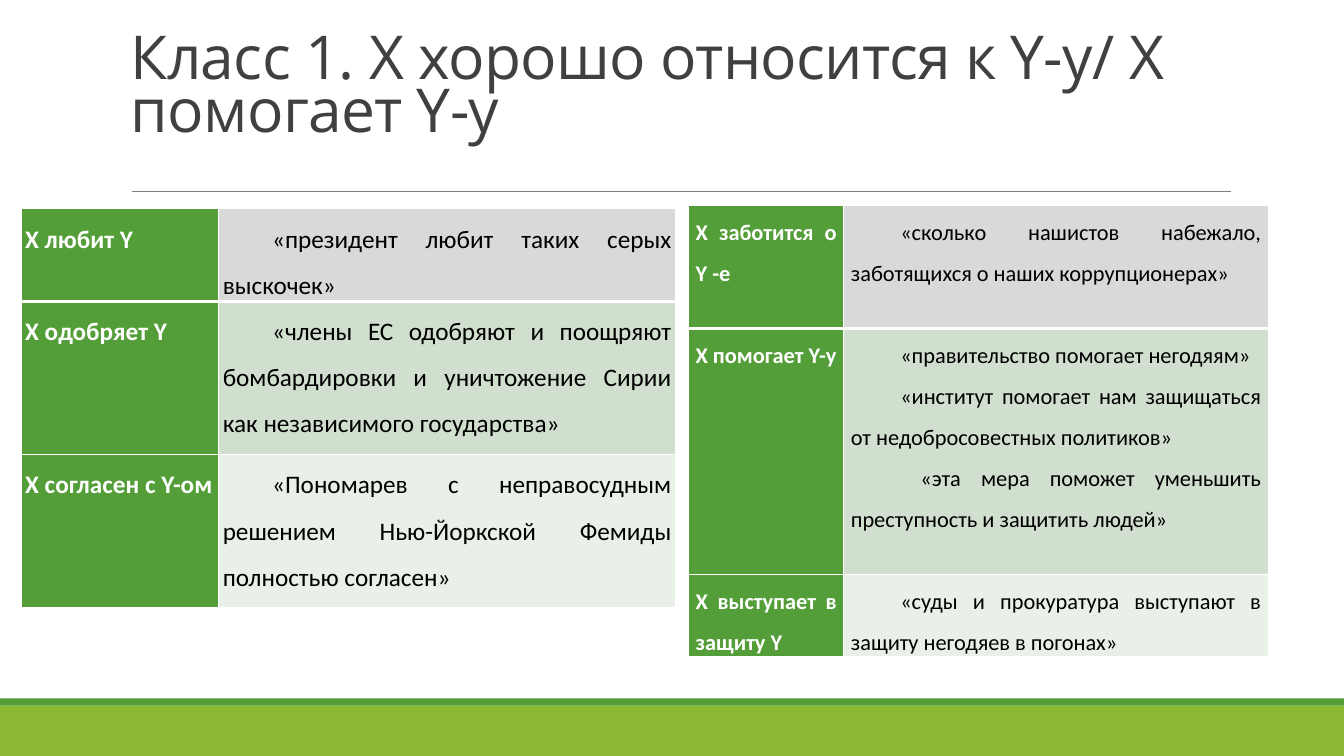
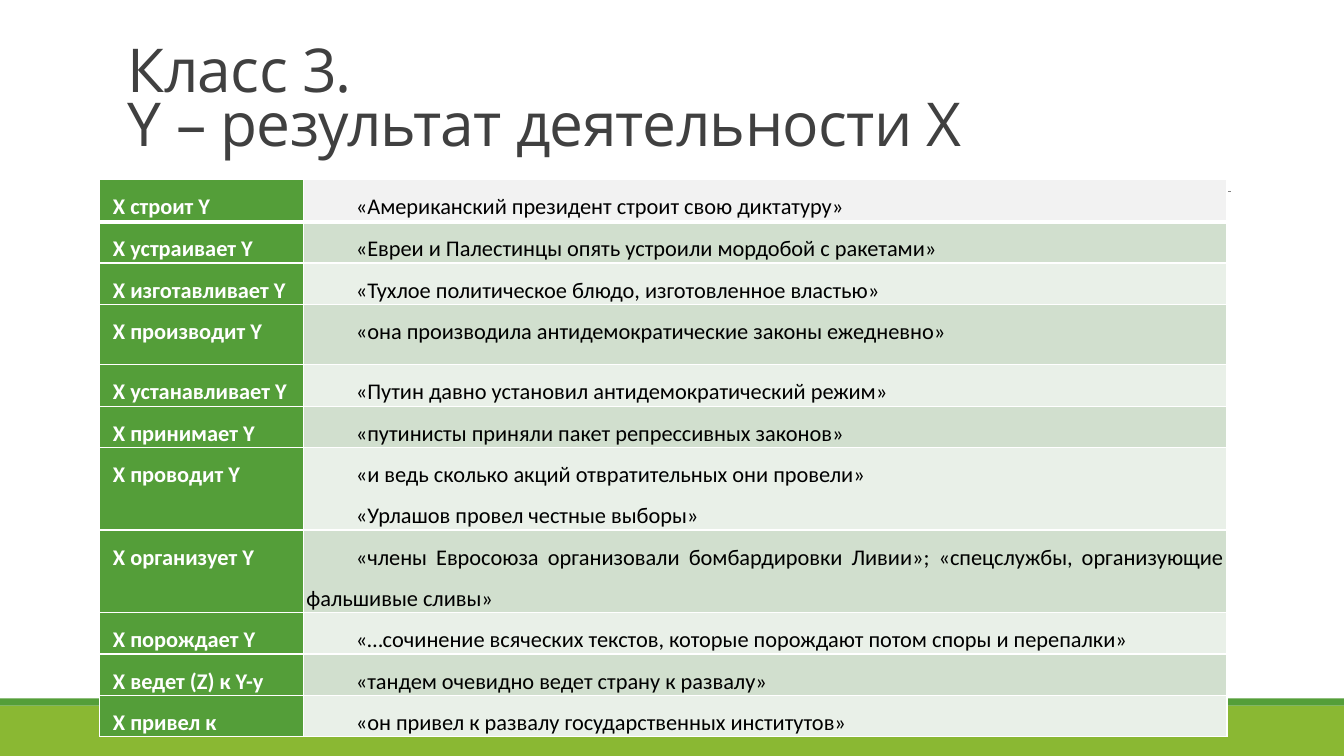
import pptx
import pptx.util
import pptx.dml.color
import pptx.enum.shapes
import pptx.enum.text
import pptx.oxml
import pptx.oxml.ns

Inches = pptx.util.Inches
Pt = pptx.util.Pt
ALIGN = pptx.enum.text.PP_ALIGN
SHAPE = pptx.enum.shapes.MSO_SHAPE
WIRE = pptx.enum.shapes.MSO_CONNECTOR

HEX = {
    "lime": "8AB833", "green": "549E39", "rule": "808080", "title": "404040",
    "white": "FFFFFF", "black": "000000", "gray": "D9D9D9", "pale": "F2F2F2",
    "odd": "D1DFCE", "even": "E9F0E8",
}
WIDE, HIGH = 13.33, 7.5
TITLE = {"name": "Open Sans", "size": Pt(43.2), "bold": False}
LABEL = {"name": "Calibri", "bold": True}
QUOTE = {"name": "Calibri", "bold": False}
FIRST = 0.49  # first-line indent of a quotation, inches

LOVE = [
    ("X любит Y", ["«президент любит таких серых выскочек»"]),
    ("X одобряет Y", ["«члены ЕС одобряют и поощряют бомбардировки и уничтожение "
                      "Сирии как независимого государства»"]),
    ("X согласен с Y-ом", ["«Пономарев с неправосудным решением Нью-Йоркской Фемиды "
                           "полностью согласен»"]),
]
HELP = [
    ("X заботится о Y -е", ["«сколько нашистов набежало, заботящихся о наших "
                            "коррупционерах»"]),
    ("X помогает Y-у", ["«правительство помогает негодяям»",
                        "«институт помогает нам защищаться от недобросовестных политиков»",
                        " «эта мера поможет уменьшить преступность и защитить людей»"]),
    ("X выступает в защиту Y", ["«суды и прокуратура выступают в защиту негодяев "
                                "в погонах»"]),
]
MAKE = [
    ("X строит Y", ["«Американский президент строит свою диктатуру»"]),
    ("X устраивает Y", ["«Евреи и Палестинцы опять устроили мордобой с ракетами»"]),
    ("X изготавливает Y", ["«Тухлое политическое блюдо, изготовленное властью»"]),
    ("X производит Y", ["«она производила антидемократические законы ежедневно»"]),
    ("X устанавливает Y", ["«Путин давно установил антидемократический режим»"]),
    ("X принимает Y", ["«путинисты приняли пакет репрессивных законов»"]),
    ("X проводит Y", ["«и ведь сколько акций отвратительных они провели»",
                      "«Урлашов провел честные выборы»"]),
    ("X организует Y", ["«члены Евросоюза организовали бомбардировки Ливии»; "
                        "«спецслужбы, организующие фальшивые сливы»"]),
    ("X порождает Y", ["«…сочинение всяческих текстов, которые порождают потом "
                       "споры и перепалки»"]),
    ("X ведет (Z) к Y-у", ["«тандем очевидно ведет страну к развалу»"]),
    ("X привел к", ["«он привел к развалу государственных институтов»"]),
]


def tint(name):
    """Return the named colour."""
    return pptx.dml.color.RGBColor.from_string(HEX[name])


def style(item, look):
    """Set every attribute in the dict on the item."""
    for key, value in look.items():
        setattr(item, key, value)


def band(slide, box, color):
    """Draw a plain filled bar."""
    bar = slide.shapes.add_shape(SHAPE.RECTANGLE, *map(Inches, box))
    bar.shadow.inherit = False
    bar.fill.solid()
    bar.fill.fore_color.rgb = tint(color)
    bar.line.fill.background()


def frame(slide):
    """Draw the footer bands and the rule under the title."""
    band(slide, (0, 7, WIDE, 0.5), "lime")
    band(slide, (0, 6.93, WIDE, 0.07), "green")
    rule = slide.shapes.add_connector(
        WIRE.STRAIGHT, *map(Inches, (1.31, 1.9, 12.21, 1.9)))
    rule.line.color.rgb = tint("rule")
    rule.line.width = Pt(0.5)
    pptx.oxml.ns.qn("a:effectLst")
    rule._element.spPr.append(pptx.oxml.parse_xml(
        "<a:effectLst %s/>" % pptx.oxml.ns.nsdecls("a")))


def head(slide, box, words):
    """Write the two-line title from the top of its box."""
    text = slide.shapes.add_textbox(*map(Inches, box)).text_frame
    style(text, {"word_wrap": True, "margin_top": 0, "margin_bottom": 0})
    para = text.paragraphs[0]
    para.text = words
    para.line_spacing = 0.74
    for run in para.runs:
        style(run.font, TITLE)
        run.font.color.rgb = tint("title")
        run.font._element.set("spc", "-50")


def edge(cell, top, base):
    """Give a cell white borders, with top and base widths in points."""
    props = cell._tc.get_or_add_tcPr()
    sides = (("lnL", 1), ("lnR", 1), ("lnT", top), ("lnB", base))
    for spot, (side, width) in enumerate(sides):
        props.insert(spot, pptx.oxml.parse_xml(
            '<a:%s %s w="%d"><a:solidFill><a:srgbClr val="%s"/></a:solidFill></a:%s>'
            % (side, pptx.oxml.ns.nsdecls("a"), Pt(width), HEX["white"], side)))


def fill(cell, lines, look, ink, back, pad, align, indent):
    """Fill a cell with its paragraphs and background."""
    style(cell, {"margin_left": Inches(pad), "margin_right": Inches(pad),
                 "margin_top": 0, "margin_bottom": 0})
    cell.fill.solid()
    cell.fill.fore_color.rgb = tint(back)
    text = cell.text_frame
    text.text = "\n".join(lines)
    for para in text.paragraphs:
        style(para, {"line_spacing": 1.5, "alignment": align})
        para._p.get_or_add_pPr().set("indent", str(Inches(indent)))
        for run in para.runs:
            style(run.font, look)
            run.font.color.rgb = tint(ink)


def grid(slide, spot, cols, rows, data, size, pad, top, align=ALIGN.JUSTIFY, indent=0):
    """Build a table of labels and quotations with its corner at spot."""
    box = (*spot, sum(cols), sum(rows))
    table = slide.shapes.add_table(len(rows), len(cols), *map(Inches, box)).table
    style(table, {"first_row": False, "horz_banding": False})
    for col, width in zip(table.columns, cols):
        col.width = Inches(width)
    for pos, (row, height, (label, quotes)) in enumerate(zip(table.rows, rows, data)):
        row.height = Inches(height)
        left, right = row.cells
        back = top if pos == 0 else ("even", "odd")[pos % 2]
        fill(left, [label], {**LABEL, "size": Pt(size)}, "white", "green",
             pad, align, indent)
        fill(right, quotes, {**QUOTE, "size": Pt(size)}, "black", back,
             pad, ALIGN.JUSTIFY, FIRST)
        for cell in (left, right):
            edge(cell, 3 if pos == 1 else 1, 3 if pos == 0 else 1)


def start(deck, box, words):
    """Add a slide with the shared frame and a title."""
    slide = deck.slides.add_slide(deck.slide_layouts[6])
    frame(slide)
    head(slide, box, words)
    return slide


def first(deck):
    """Build the slide on goodwill and help."""
    slide = start(deck, (1.2, 0.36, 11, 1.3),
                  "Класс 1. X хорошо относится к Y-у/ X помогает Y-у")
    grid(slide, (0.21, 2.07), (1.96, 4.53), (0.92, 1.52, 1.52), LOVE,
         18, 0.04, "gray", ALIGN.LEFT)
    grid(slide, (6.83, 2.04), (1.54, 4.21), (1.22, 2.44, 0.81), HELP,
         16, 0.07, "gray")


def second(deck):
    """Build the slide on the results of activity."""
    slide = start(deck, (1.17, 0.49, 11, 1.3),
                  "Класс 3.\vY – результат деятельности X")
    line = 0.41
    rows = (0.42, line, line, 0.6, line, line, 2 * line, 2 * line, line, line, line)
    grid(slide, (0.99, 1.78), (2.02, 9.16), rows, MAKE, 16, 0.03, "pale", indent=0.1)


def main():
    """Build and save the deck."""
    deck = pptx.Presentation()
    style(deck, {"slide_width": Inches(WIDE), "slide_height": Inches(HIGH)})
    first(deck)
    second(deck)
    deck.save("out.pptx")


main()
